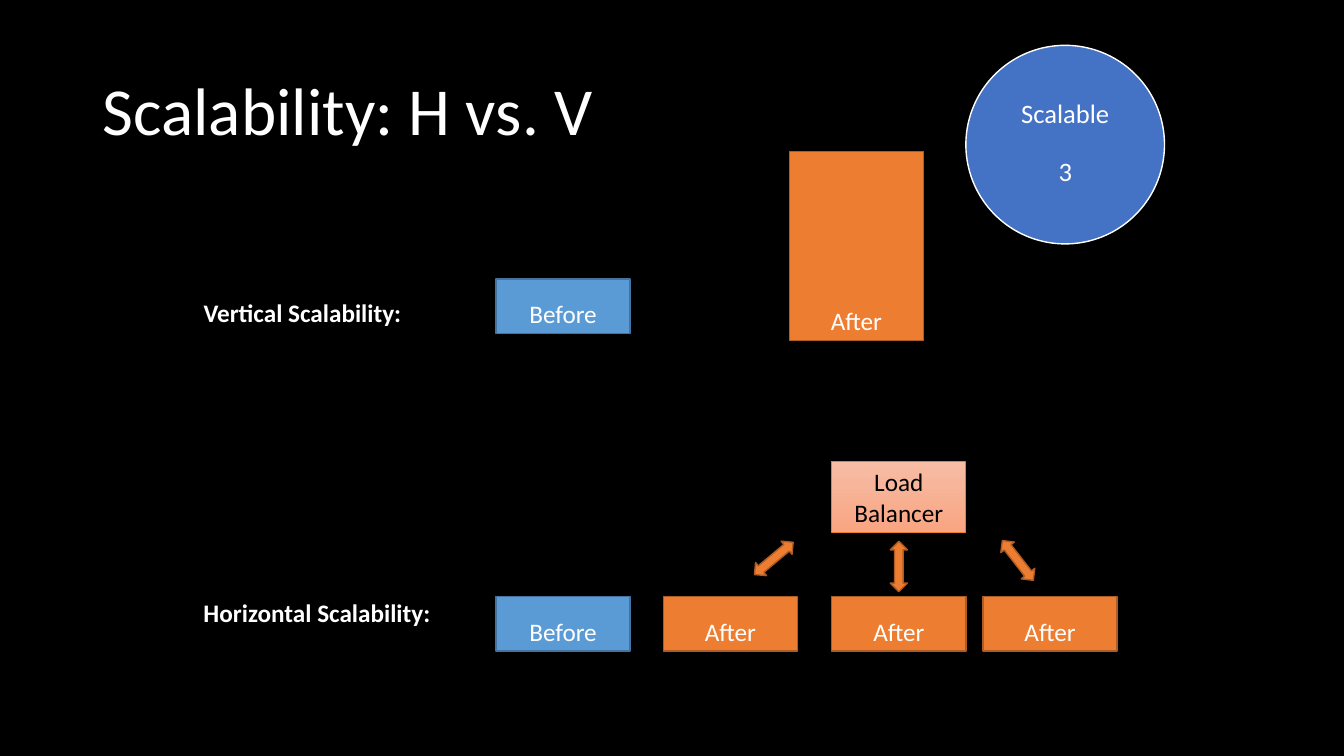
from pptx import Presentation
from pptx.util import Inches, Pt
from pptx.dml.color import RGBColor
from pptx.enum.shapes import MSO_SHAPE
from pptx.enum.text import MSO_ANCHOR, PP_ALIGN

RECT, OVAL, ARROW = MSO_SHAPE.RECTANGLE, MSO_SHAPE.OVAL, MSO_SHAPE.UP_DOWN_ARROW
MIDDLE, BOTTOM, TOP = MSO_ANCHOR.MIDDLE, MSO_ANCHOR.BOTTOM, MSO_ANCHOR.TOP
LEFT, CENTER = PP_ALIGN.LEFT, PP_ALIGN.CENTER

# Content
COLORS = {
    "black": "000000", "white": "FFFFFF", "badge": "4472C4",
    "blue": "5B9BD5", "navy": "43739E", "orange": "ED7D31", "rust": "AF5C24",
    "pale": "F7BDA5", "peach": "F8A582",
}
FONT = "Calibri"
TITLE = "Scalability: H vs. V"
BADGE = ["Scalable", "", "3"]
BALANCER = ["Load", "Balancer"]
STATES = {"Before": ("blue", "navy"), "After": ("orange", "rust")}
LABELS = [("Vertical Scalability:", 2.9, 2.18), ("Horizontal Scalability:", 5.88, 2.47)]

# Servers: state, left, top, height
WIDE, LOW, ROW = 1.33, 0.54, 5.92
SERVERS = [("Before", 4.92, 2.77, LOW), ("After", 7.83, 1.5, 1.88), ("Before", 4.92, ROW, LOW)]
SERVERS += [("After", x, ROW, LOW) for x in (6.58, 8.25, 9.75)]
# Arrows: left, top, rotation
ARROWS = [(7.59, 5.29, 50.1), (10.01, 5.31, 322.1), (8.83, 5.37, 0)]


def color(name):
    return RGBColor.from_string(COLORS[name])


def write(shape, lines, size, ink="white", align=CENTER, anchor=BOTTOM,
          bold=False, wrap=True, space=1.0):
    frame = shape.text_frame
    frame.word_wrap = wrap
    frame.vertical_anchor = anchor
    para = frame.paragraphs[0]
    para.alignment = align
    para.line_spacing = space
    para.font.size = Pt(size)
    for i, line in enumerate(lines):
        if i:
            para.add_line_break()
        if line:
            run = para.add_run()
            run.text = line
            run.font.name = FONT
            run.font.size = Pt(size)
            run.font.bold = bold
            run.font.color.rgb = color(ink)


def draw(kind, box, fill, edge, width=1):
    shape = slide.shapes.add_shape(kind, *map(Inches, box))
    shape.shadow.inherit = False
    shape.fill.solid()
    shape.fill.fore_color.rgb = color(fill)
    shape.line.color.rgb = color(edge)
    shape.line.width = Pt(width)
    return shape


def label(box, lines, size, **style):
    text = slide.shapes.add_textbox(*map(Inches, box))
    write(text, lines, size, **style)
    return text


deck = Presentation()
deck.slide_width, deck.slide_height = Inches(13.33), Inches(7.5)
slide = deck.slides.add_slide(deck.slide_layouts[6])
slide.background.fill.solid()
slide.background.fill.fore_color.rgb = color("black")

# Title and row labels
label((0.92, 0.4, 11.5, 1.45), [TITLE], 48, align=LEFT, anchor=MIDDLE, space=0.9)
for words, top, width in LABELS:
    label((1.92, top, width, 0.4), [words], 18, align=LEFT, anchor=TOP, bold=True, wrap=False)

# Badge
draw(OVAL, (9.58, 0.45, 1.97, 1.97), "badge", "white")
label((9.87, 0.73, 1.39, 1.39), BADGE, 19, anchor=MIDDLE, space=0.9)

# Servers
for state, left, top, height in SERVERS:
    write(draw(RECT, (left, top, WIDE, height), *STATES[state]), [state], 18)

# Load balancer
hub = draw(RECT, (8.25, 4.58, WIDE, 0.7), "pale", "orange", 0.5)
hub.fill.gradient()
hub.fill.gradient_angle = 270
for stop, name, place in zip(hub.fill.gradient_stops, ("pale", "peach"), (0, 1)):
    stop.color.rgb = color(name)
    stop.position = place
write(hub, BALANCER, 18, ink="black")

# Arrows between balancer and servers
for left, top, turn in ARROWS:
    draw(ARROW, (left, top, 0.17, 0.5), *STATES["After"]).rotation = turn

deck.save("out.pptx")
